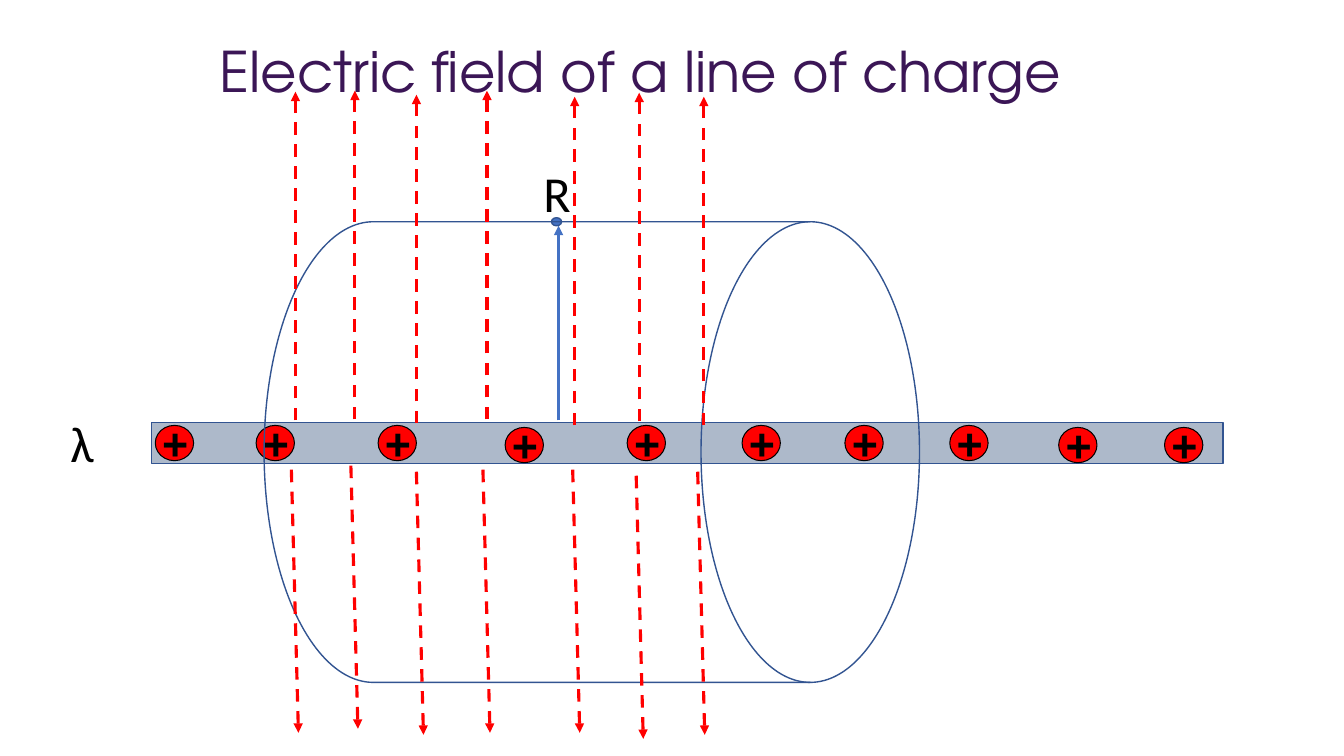
from lxml import etree
from pptx import Presentation
from pptx import util as u
from pptx.dml.color import RGBColor
from pptx.enum import dml, shapes, text
from pptx.oxml.ns import qn

COLS, ROWS = 13.33, 7.5  # slide grid
RED, BLUE, NAVY, BLACK = "FF0000", "4472C4", "325491", "000000"


def rgb(code):
    return RGBColor.from_string(code)


def write(tf, content, font="Calibri", size=36, color=BLACK, bold=False):
    tf.word_wrap = True
    tf.auto_size = text.MSO_AUTO_SIZE.SHAPE_TO_FIT_TEXT
    r = tf.paragraphs[0].add_run()
    r.text = content
    r.font.name, r.font.size, r.font.bold = font, u.Pt(size), bold
    r.font.color.rgb = rgb(color)


class Canvas:
    def __init__(self, prs):
        self.s = prs.slides.add_slide(prs.slide_layouts[6])
        self.col = prs.slide_width / COLS
        self.row = prs.slide_height / ROWS

    def place(self, x, y, w, h):
        return [round(v) for v in (x * self.col, y * self.row,
                                   w * self.col, h * self.row)]

    def label(self, content, x, y, w, h, **style):
        tb = self.s.shapes.add_textbox(*self.place(x, y, w, h))
        write(tb.text_frame, content, **style)

    def shape(self, kind, x, y, w, h, fill=None, line=NAVY, weight=1):
        sp = self.s.shapes.add_shape(kind, *self.place(x, y, w, h))
        sp.shadow.inherit = False
        if fill:
            sp.fill.solid()
            sp.fill.fore_color.rgb = rgb(fill)
        else:
            sp.fill.background()
        sp.line.color.rgb, sp.line.width = rgb(line), u.Pt(weight)

    def arrow(self, x1, y1, x2, y2, color=RED, dashed=True):
        c = self.s.shapes.add_connector(shapes.MSO_CONNECTOR.STRAIGHT,
                                        *self.place(x1, y1, x2, y2))
        c.line.color.rgb, c.line.width = rgb(color), u.Pt(2.25)
        if dashed:
            c.line.dash_style = dml.MSO_LINE.DASH
        etree.SubElement(c.line._get_or_add_ln(), qn("a:tailEnd"), type="triangle")
        etree.SubElement(c._element.spPr, qn("a:effectLst"))

    def charge(self, x, y):
        self.shape(SHAPE.OVAL, x, y, 0.38, 0.35, RED, BLACK, 0.75)
        self.label("+", x - 0.03, y - 0.15, 0.3, 0.38,
                   font="Arial", size=32, bold=True)


SHAPE = shapes.MSO_SHAPE
prs = Presentation()
prs.slide_width, prs.slide_height = u.Inches(COLS), u.Inches(ROWS)
slide = Canvas(prs)

# Title
slide.label("Electric field of a line of charge", 2.08, 0.31, 8.8, 0.77,
            font="TeX Gyre Adventor", size=40, color="3B1656")

# Charged rod
slide.shape(SHAPE.RECTANGLE, 1.5, 4.19, 10.63, 0.41, "ADB9CA")
for x in (1.54, 2.54, 3.75, 6.22, 7.36, 8.38, 9.42):
    slide.charge(x, 4.22)
for x in (5.01, 10.5, 11.55):
    slide.charge(x, 4.24)

# Radius, its end point and the labels
slide.arrow(5.54, 4.17, 5.54, 2.24, BLUE, dashed=False)
slide.shape(SHAPE.OVAL, 5.47, 2.16, 0.1, 0.08, BLUE)
slide.label("R", 5.29, 1.56, 0.76, 0.71)
slide.label("λ", 0.6, 4.04, 0.76, 0.71)

# Gaussian cylinder
slide.shape(SHAPE.FLOWCHART_DIRECT_ACCESS_STORAGE, 2.62, 2.2, 6.5, 4.57)

# Field lines: x and tip above the rod, x and start below it
UP, DOWN, LEAN = 3.26, 2.61, 0.07
FIELD = [(2.93, 0.91, 2.89, 4.66), (3.52, 0.9, 3.48, 4.62),
         (4.13, 0.94, 4.13, 4.68), (4.83, 0.9, 4.79, 4.66),
         (5.7, 0.96, 5.68, 4.66), (6.34, 0.92, 6.31, 4.72),
         (6.98, 0.96, 6.92, 4.68)]
for top_x, tip, low_x, start in FIELD:
    slide.arrow(top_x, tip + UP, top_x, tip)
    slide.arrow(low_x, start, low_x + LEAN, start + DOWN)

prs.save("out.pptx")
